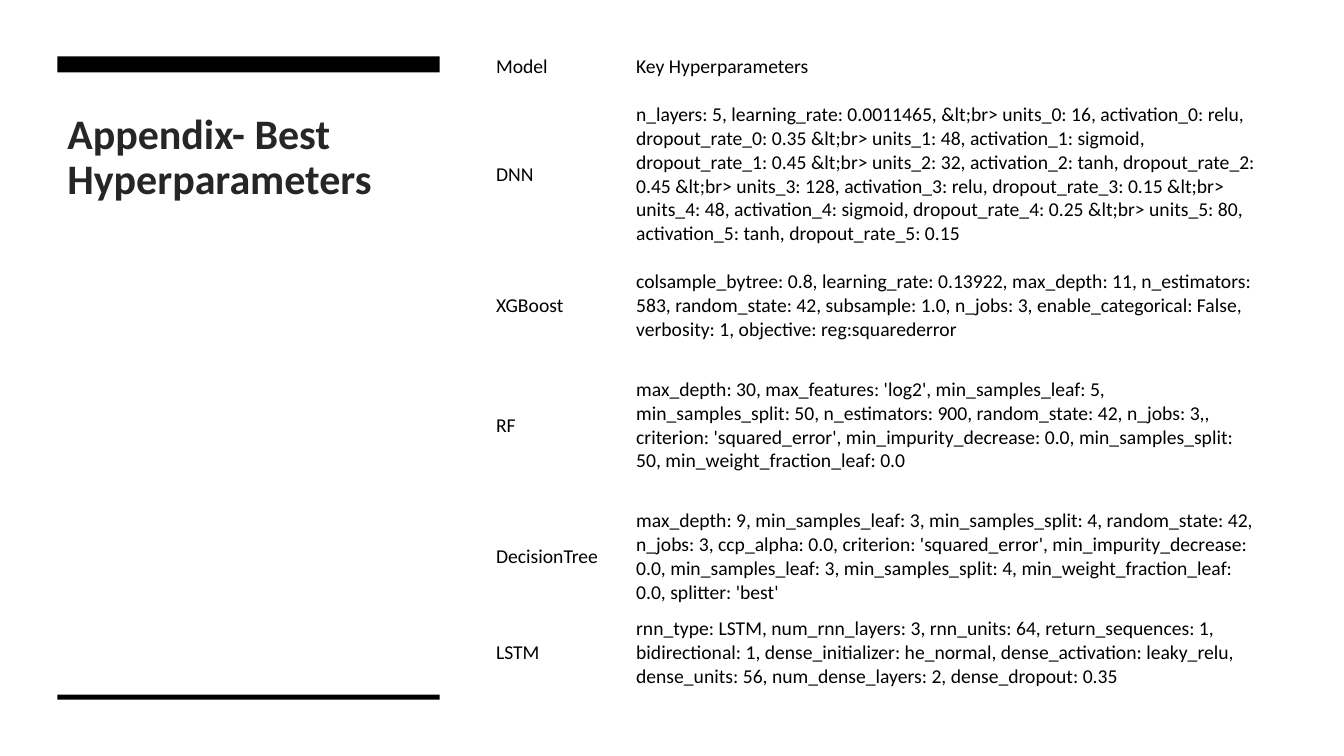
from pptx import Presentation
from pptx import util as u
from pptx.dml.color import RGBColor
from pptx.enum import shapes, text

PX = 9144  # EMU per px, at 100 px to the inch
FONT = "Calibri"
WHITE = RGBColor(0xFF, 0xFF, 0xFF)
BLACK = RGBColor(0x00, 0x00, 0x00)
CHARCOAL = RGBColor(0x26, 0x26, 0x26)

SLIDE_WIDTH, SLIDE_HEIGHT = 1333, 750
PANEL_LEFT, PANEL_WIDTH = 57, 379
COLUMN_WIDTHS = [139, 628]
ROW_HEIGHTS = [35, 178, 83, 154, 107, 83]

HYPERPARAMETERS = [
    ("Model", "Key Hyperparameters"),
    ("DNN",
     "n_layers: 5, learning_rate: 0.0011465, &lt;br> "
     "units_0: 16, activation_0: relu, dropout_rate_0: 0.35 &lt;br> "
     "units_1: 48, activation_1: sigmoid, dropout_rate_1: 0.45 &lt;br> "
     "units_2: 32, activation_2: tanh, dropout_rate_2: 0.45 &lt;br> "
     "units_3: 128, activation_3: relu, dropout_rate_3: 0.15 &lt;br> "
     "units_4: 48, activation_4: sigmoid, dropout_rate_4: 0.25 &lt;br> "
     "units_5: 80, activation_5: tanh, dropout_rate_5: 0.15"),
    ("XGBoost",
     "colsample_bytree: 0.8, learning_rate: 0.13922, max_depth: 11, "
     "n_estimators: 583, random_state: 42, subsample: 1.0, n_jobs: 3, "
     "enable_categorical: False, verbosity: 1, objective: reg:squarederror"),
    ("RF",
     "max_depth: 30, max_features: 'log2', min_samples_leaf: 5, "
     "min_samples_split: 50, n_estimators: 900, random_state: 42, n_jobs: 3,, "
     "criterion: 'squared_error', min_impurity_decrease: 0.0, "
     "min_samples_split: 50, min_weight_fraction_leaf: 0.0"),
    ("DecisionTree",
     "max_depth: 9, min_samples_leaf: 3, min_samples_split: 4, "
     "random_state: 42, n_jobs: 3, ccp_alpha: 0.0, criterion: 'squared_error', "
     "min_impurity_decrease: 0.0, min_samples_leaf: 3, min_samples_split: 4, "
     "min_weight_fraction_leaf: 0.0, splitter: 'best'"),
    ("LSTM",
     "rnn_type: LSTM, num_rnn_layers: 3, rnn_units: 64, return_sequences: 1, "
     "bidirectional: 1, dense_initializer: he_normal, "
     "dense_activation: leaky_relu, dense_units: 56, num_dense_layers: 2, "
     "dense_dropout: 0.35"),
]


def px(*lengths):
    return [u.Emu(length * PX) for length in lengths]


def set_font(paragraph, size, color, bold=False):
    font = paragraph.font
    font.name, font.size, font.bold = FONT, u.Pt(size), bold
    font.color.rgb = color


def add_bar(slide, left, top, width, height, color):
    shape = slide.shapes.add_shape(shapes.MSO_SHAPE.RECTANGLE,
                                   *px(left, top, width, height))
    shape.shadow.inherit = False
    shape.fill.solid()
    shape.fill.fore_color.rgb = color
    shape.line.fill.background()


def add_title(slide, title, left, top, width, height):
    frame = slide.shapes.add_textbox(*px(left, top, width, height)).text_frame
    frame.word_wrap = True
    paragraph = frame.paragraphs[0]
    paragraph.text = title
    paragraph.line_spacing = 0.9
    set_font(paragraph, 30, CHARCOAL, bold=True)


def fill_cell(cell, content):
    cell.fill.background()
    cell.vertical_anchor = text.MSO_ANCHOR.MIDDLE
    cell.margin_left, cell.margin_right = px(6, 6)
    cell.margin_top, cell.margin_bottom = px(3, 3)
    paragraph = cell.text_frame.paragraphs[0]
    paragraph.text = content
    set_font(paragraph, 14, BLACK)


def add_hyperparameter_table(slide, left, top):
    table = slide.shapes.add_table(
        len(ROW_HEIGHTS), len(COLUMN_WIDTHS),
        *px(left, top, sum(COLUMN_WIDTHS), sum(ROW_HEIGHTS))).table
    table.first_row = table.horz_banding = False
    for column, width in zip(table.columns, px(*COLUMN_WIDTHS)):
        column.width = width
    for row, height, contents in zip(table.rows, px(*ROW_HEIGHTS), HYPERPARAMETERS):
        row.height = height
        for cell, content in zip(row.cells, contents):
            fill_cell(cell, content)


def main():
    presentation = Presentation()
    presentation.slide_width, presentation.slide_height = px(SLIDE_WIDTH, SLIDE_HEIGHT)
    slide = presentation.slides.add_slide(presentation.slide_layouts[6])

    # Background
    add_bar(slide, 0, 0, SLIDE_WIDTH, SLIDE_HEIGHT, WHITE)

    # Title panel between two bars
    add_title(slide, "Appendix- Best Hyperparameters", PANEL_LEFT, 107, PANEL_WIDTH, 268)
    add_bar(slide, PANEL_LEFT, 56, PANEL_WIDTH, 16, BLACK)
    add_bar(slide, PANEL_LEFT, 689, PANEL_WIDTH, 5, BLACK)

    # Best settings for each model
    add_hyperparameter_table(slide, 486, 49)

    presentation.save("out.pptx")


if __name__ == "__main__":
    main()
